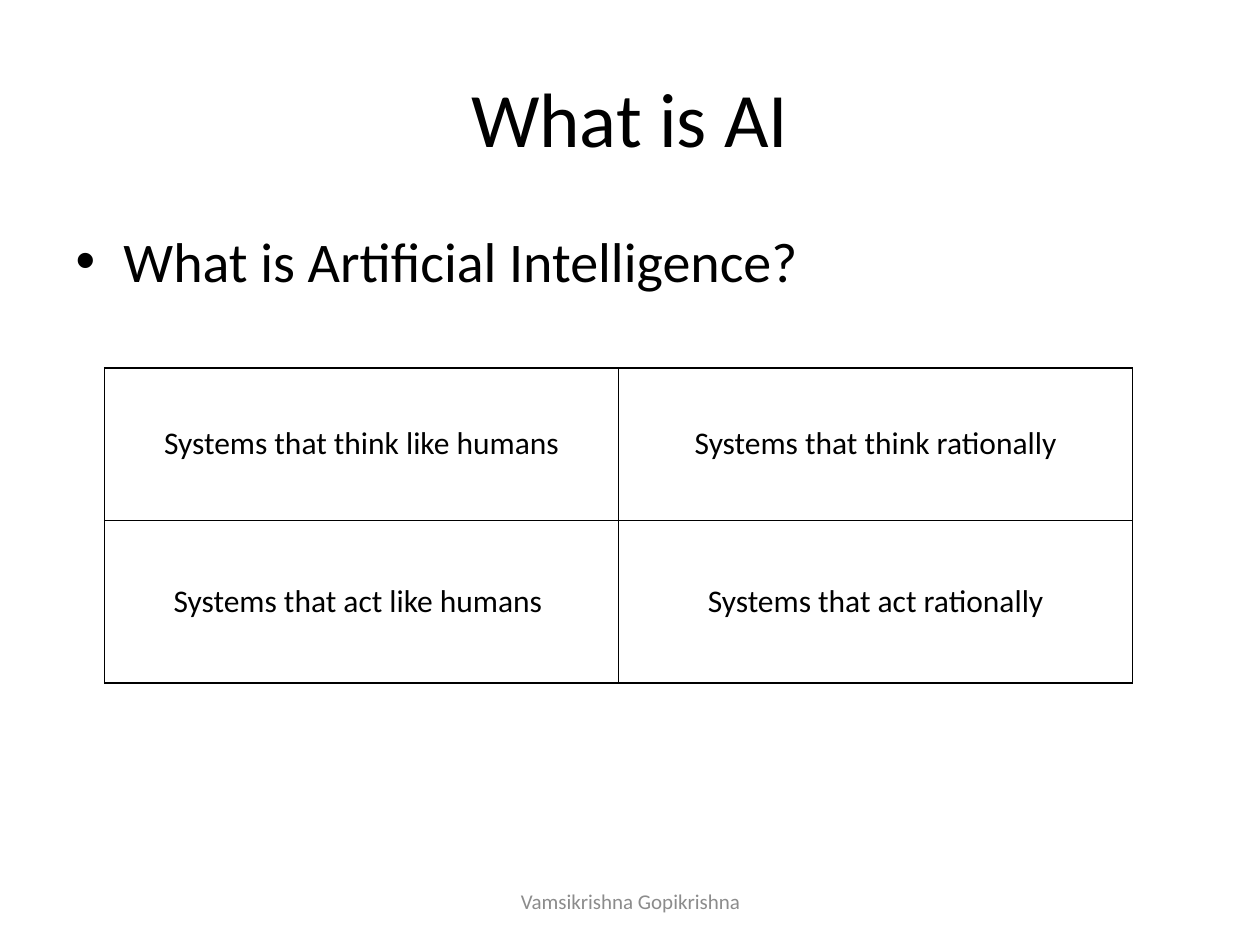
from pptx import Presentation
from pptx.dml.color import RGBColor
from pptx.enum.text import MSO_ANCHOR, PP_ALIGN
from pptx.oxml import parse_xml
from pptx.oxml.ns import nsdecls
from pptx.util import Inches, Pt

COLORS = {"text": "000000", "border": "000000", "footer": "8C8C8C", "background": "FFFFFF"}
SYSTEMS = [
    ["Systems that think like humans", "Systems that think rationally"],
    ["Systems that act like humans ", "Systems that act rationally"],
]


def write(frame, text, size, color="text", align=PP_ALIGN.CENTER, anchor=MSO_ANCHOR.MIDDLE):
    """Fill a text frame with one formatted paragraph and return it."""
    frame.word_wrap = True
    frame.vertical_anchor = anchor
    para = frame.paragraphs[0]
    para.alignment = align
    span = para.add_run()
    span.text = text
    for name, value in {"size": Pt(size), "name": "Calibri"}.items():
        setattr(span.font, name, value)
    span.font.color.rgb = RGBColor.from_string(COLORS[color])
    return para


def place(shape, left, top, width, height):
    """Set the position and size of a shape in inches."""
    for name, value in zip(("left", "top", "width", "height"), (left, top, width, height)):
        setattr(shape, name, Inches(value))


deck = Presentation()
deck.slide_width, deck.slide_height = Inches(10), Inches(7.5)
page = deck.slides.add_slide(deck.slide_layouts[1])
page.background.fill.solid()
page.background.fill.fore_color.rgb = RGBColor.from_string(COLORS["background"])

title, body = page.shapes.title, page.placeholders[1]
place(title, 0.5, 0.3, 9, 1.25)
write(title.text_frame, "What is AI", 44)

place(body, 0.5, 1.75, 9, 4.95)
question = write(body.text_frame, "What is Artificial Intelligence?", 32,
                 align=PP_ALIGN.LEFT, anchor=MSO_ANCHOR.TOP)
question.space_before = Pt(6.4)
properties = question._p.get_or_add_pPr()
properties.set("marL", str(Inches(0.38)))
properties.set("indent", str(Inches(-0.38)))
properties.append(parse_xml(f'<a:buFont {nsdecls("a")} typeface="Arial"/>'))
properties.append(parse_xml(f'<a:buChar {nsdecls("a")} char="\u2022"/>'))

footer = page.shapes.add_textbox(Inches(3.42), Inches(6.95), Inches(3.17), Inches(0.4))
write(footer.text_frame, "Vamsikrishna Gopikrishna", 12, "footer")

table = page.shapes.add_table(2, 2, Inches(0.83), Inches(2.92), Inches(8.17), Inches(2.5)).table
table.first_row = table.horz_banding = False
for column in table.columns:
    column.width = Inches(4.08)
for row, height in zip(table.rows, (1.21, 1.29)):
    row.height = Inches(height)

for row, texts in zip(table.rows, SYSTEMS):
    for cell, text in zip(row.cells, texts):
        write(cell.text_frame, text, 18)
        cell.vertical_anchor = MSO_ANCHOR.MIDDLE
        cell.fill.background()
        for index, side in enumerate(("lnL", "lnR", "lnT", "lnB")):
            border = parse_xml(
                f'<a:{side} {nsdecls("a")} w="{Pt(1)}"><a:solidFill>'
                f'<a:srgbClr val="{COLORS["border"]}"/></a:solidFill></a:{side}>')
            cell._tc.get_or_add_tcPr().insert(index, border)

deck.save("out.pptx")
